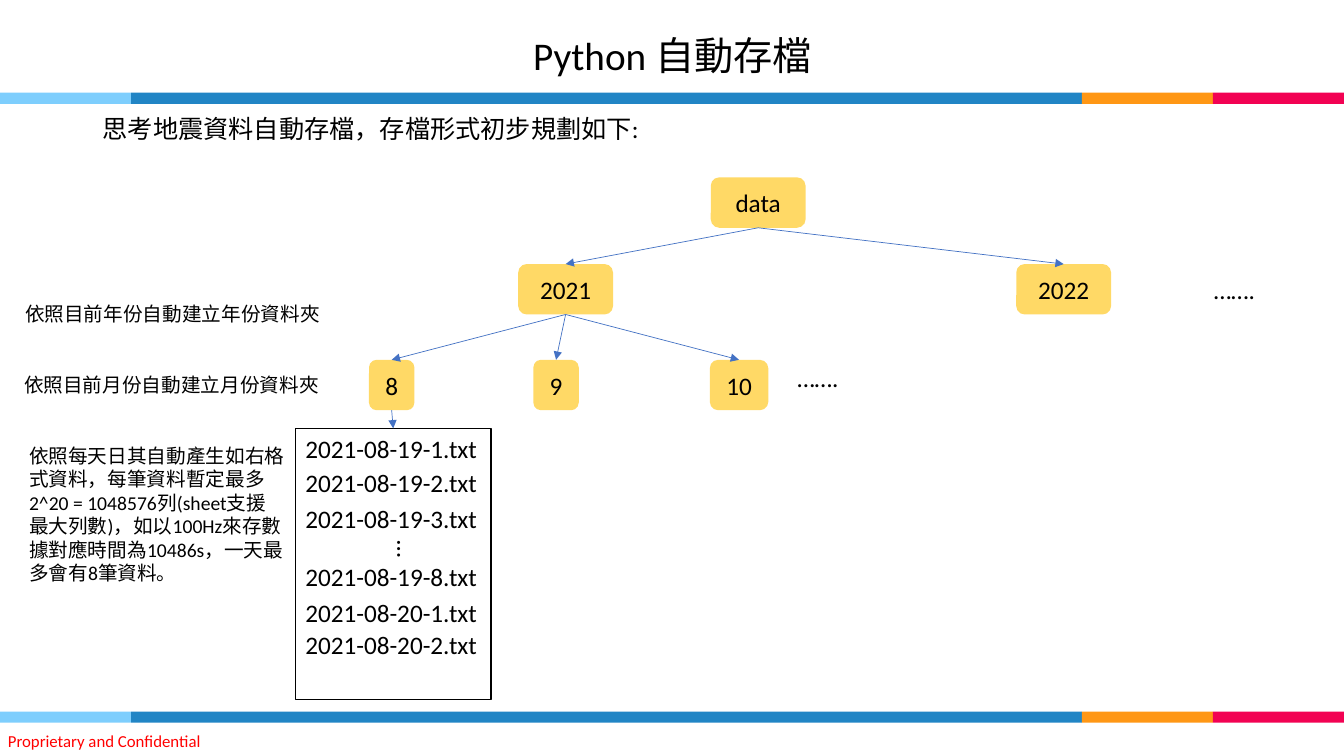
from dataclasses import dataclass

from lxml.etree import SubElement
from pptx import Presentation
from pptx.dml.color import RGBColor
from pptx.enum.shapes import MSO_CONNECTOR, MSO_SHAPE
from pptx.enum.text import MSO_ANCHOR, MSO_AUTO_SIZE, PP_ALIGN
from pptx.oxml.ns import qn
from pptx.shapes.autoshape import Shape
from pptx.text.text import TextFrame
from pptx.util import Inches, Pt

BLACK = RGBColor(0, 0, 0)
WHITE = RGBColor(0xFF, 0xFF, 0xFF)
RED = RGBColor(0xFF, 0, 0)
YELLOW = RGBColor(0xFF, 0xD9, 0x66)
ARROW = RGBColor(0x44, 0x72, 0xC4)
SKY = RGBColor(0x7E, 0xCE, 0xFD)
BLUE = RGBColor(0x21, 0x85, 0xC5)
ORANGE = RGBColor(0xFF, 0x97, 0x15)
PINK = RGBColor(0xF2, 0x02, 0x53)


@dataclass
class Box:
    left: float
    top: float
    width: float
    height: float

    def place(self) -> tuple[Inches, ...]:
        return tuple(Inches(v) for v in (self.left, self.top, self.width, self.height))


@dataclass
class Label:
    text: str
    box: Box
    size: int = 18
    wrap: bool = False
    color: RGBColor = BLACK


@dataclass
class Node:
    name: str
    box: Box
    parent: str = ""


BANDS = [(0, 1.3, SKY), (1.3, 9.43, BLUE), (10.73, 1.3, ORANGE), (12.03, 1.3, PINK)]

LABELS = [
    Label("Proprietary and Confidential", Box(-0.02, 7.2, 2.13, 0.3), 12, True, RED),
    Label("思考地震資料自動存檔，存檔形式初步規劃如下:", Box(0.92, 1.08, 12.26, 0.4), 18, True),
    Label("依照目前年份自動建立年份資料夾", Box(0.15, 2.95, 3.15, 0.34), 14),
    Label("依照目前月份自動建立月份資料夾", Box(0.14, 3.65, 3.15, 0.34), 14),
    Label("…….", Box(11.94, 2.67, 0.77, 0.4)),
    Label("…….", Box(7.81, 3.55, 0.77, 0.4)),
]
NOTE = Label(
    "依照每天日其自動產生如右格式資料，每筆資料暫定最多2^20 = 1048576列(sheet支援最大列數)，"
    "如以100Hz來存數據對應時間為10486s，一天最多會有8筆資料。",
    Box(0.19, 4.35, 2.74, 1.51), 14, True)
DOTS = Label("…", Box(3.74, 5.26, 0.5, 0.35))

NODES = [
    Node("data", Box(7.05, 1.76, 0.94, 0.5)),
    Node("2021", Box(5.14, 2.62, 0.94, 0.5), "data"),
    Node("2022", Box(10.08, 2.62, 0.94, 0.5), "data"),
    Node("8", Box(3.66, 3.57, 0.45, 0.5), "2021"),
    Node("9", Box(5.29, 3.57, 0.45, 0.5), "2021"),
    Node("10", Box(7.04, 3.57, 0.58, 0.5), "2021"),
]
FILES = [
    ("08-19-1", 4.25), ("08-19-2", 4.59), ("08-19-3", 4.94),
    ("08-19-8", 5.52), ("08-20-1", 5.88), ("08-20-2", 6.19),
]

deck = Presentation()
deck.slide_width, deck.slide_height = Inches(13.33), Inches(7.5)
shapes = deck.slides.add_slide(deck.slide_layouts[6]).shapes


def write(frame: TextFrame, text: str, size: int, color: RGBColor = BLACK) -> None:
    line = frame.paragraphs[0]
    line.text = text
    line.font.name = "Calibri"
    line.font.size = Pt(size)
    line.font.color.rgb = color


def center(frame: TextFrame) -> None:
    frame.vertical_anchor = MSO_ANCHOR.MIDDLE
    frame.paragraphs[0].alignment = PP_ALIGN.CENTER


def add_label(label: Label) -> TextFrame:
    frame = shapes.add_textbox(*label.box.place()).text_frame
    frame.word_wrap = label.wrap
    frame.auto_size = MSO_AUTO_SIZE.SHAPE_TO_FIT_TEXT
    write(frame, label.text, label.size, label.color)
    return frame


def add_block(kind: MSO_SHAPE, box: Box, fill: RGBColor | None) -> Shape:
    """Add a flat shape without outline; no fill when fill is None."""
    block = shapes.add_shape(kind, *box.place())
    block.shadow.inherit = False
    block.line.fill.background()
    if fill is None:
        block.fill.background()
    else:
        block.fill.solid()
        block.fill.fore_color.rgb = fill
    return block


def add_node(text: str, box: Box, fill: RGBColor) -> Shape:
    node = add_block(MSO_SHAPE.ROUNDED_RECTANGLE, box, fill)
    write(node.text_frame, text, 18)
    center(node.text_frame)
    return node


def add_arrow(start: Shape, end: Shape) -> None:
    """Point from the bottom of start to the top of end."""
    arrow = shapes.add_connector(MSO_CONNECTOR.STRAIGHT, 0, 0, 0, 0)
    arrow.begin_connect(start, 2)
    arrow.end_connect(end, 0)
    arrow.line.color.rgb = ARROW
    arrow.line.width = Pt(0.5)
    SubElement(arrow.line._get_or_add_ln(), qn("a:tailEnd"), type="triangle")
    SubElement(arrow._element.spPr, qn("a:effectLst"))


def main() -> None:
    for top in (0.92, 7.06):
        for left, width, color in BANDS:
            add_block(MSO_SHAPE.RECTANGLE, Box(left, top, width, 0.11), color)

    title = shapes.add_textbox(*Box(0.92, 0.25, 11.5, 0.64).place()).text_frame
    title.word_wrap = True
    write(title, "Python 自動存檔", 28)
    center(title)
    title.paragraphs[0].line_spacing = 0.9

    for label in LABELS:
        add_label(label)
    for name, top in FILES:
        add_node(f"2021-{name}.txt", Box(2.62, top, 2.52, 0.4), WHITE)
    add_label(NOTE)
    dots = add_label(DOTS)
    dots._txBody.bodyPr.set("vert", "eaVert")

    tree: dict[str, Shape] = {}
    for node in NODES:
        tree[node.name] = add_node(node.name, node.box, YELLOW)
        if node.parent:
            add_arrow(tree[node.parent], tree[node.name])

    frame = add_block(MSO_SHAPE.RECTANGLE, Box(2.93, 4.25, 1.94, 2.69), None)
    frame.line.color.rgb = BLACK
    frame.line.width = Pt(1)
    add_arrow(tree["8"], frame)

    deck.save("out.pptx")


if __name__ == "__main__":
    main()
